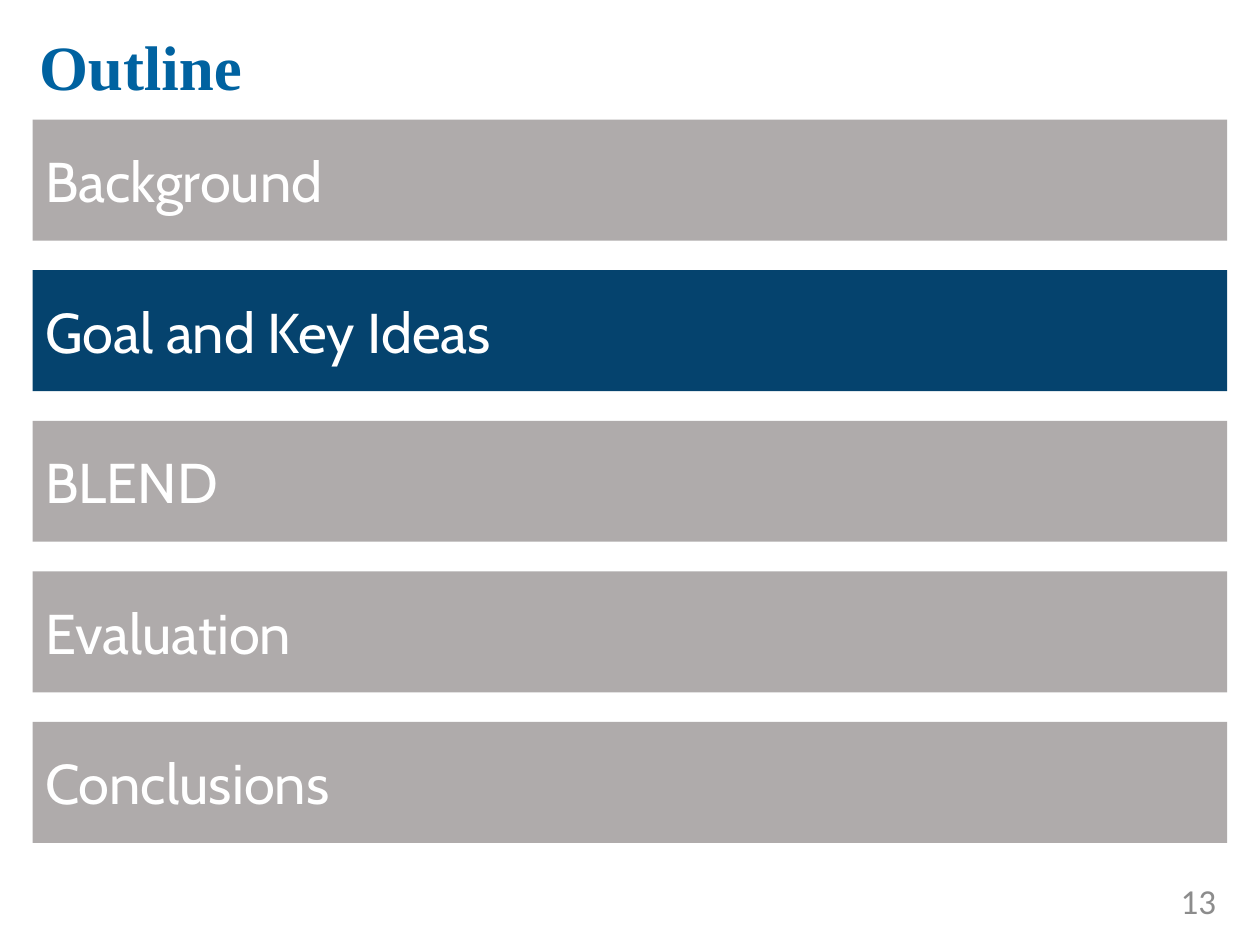
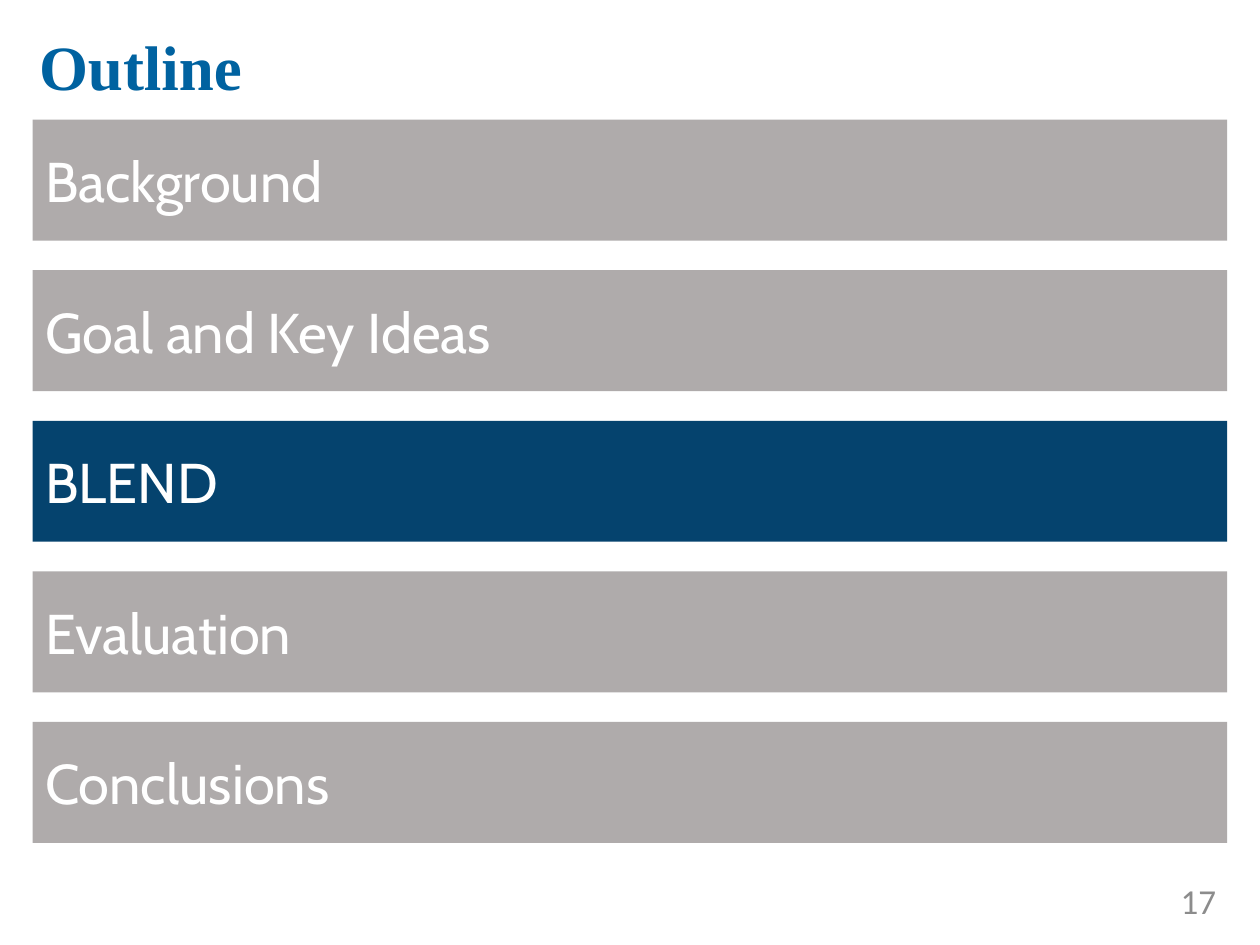
from pptx import Presentation
from pptx.dml.color import RGBColor
from pptx.enum import shapes, text
from pptx.util import Inches, Pt

TITLE_BLUE, ACTIVE_BLUE = "0062A0", "05436E"
BAND_GRAY, NUMBER_GRAY, WHITE = "AFABAB", "8C8C8C", "FFFFFF"

TITLE_BOX = (0.21, 0.1, 9.62, 0.84)
BANDS_BOX = (0.26, 0.95, 9.48, 5.74)
NUMBER_BOX = (8.67, 6.95, 1.08, 0.4)
BAND_HEIGHT = 0.96

SECTIONS = ["Background", "Goal and Key Ideas", "BLEND", "Evaluation", "Conclusions"]
OUTLINES = [(13, "Goal and Key Ideas"), (17, "BLEND")]


def color(hex_code):
    return RGBColor.from_string(hex_code)


def write(shape, words, font, size, hex_code, align=text.PP_ALIGN.LEFT, bold=False):
    """Fill the shape with one vertically centred line and return its paragraph."""
    frame = shape.text_frame
    frame.word_wrap = True
    frame.auto_size = text.MSO_AUTO_SIZE.NONE
    frame.vertical_anchor = text.MSO_ANCHOR.MIDDLE
    para = frame.paragraphs[0]
    para.alignment = align
    span = para.add_run()
    span.text = words
    span.font.name = font
    span.font.size = Pt(size)
    span.font.bold = bold
    span.font.color.rgb = color(hex_code)
    return para


def add_title(page, words, box):
    title = page.shapes.title
    title.left, title.top, title.width, title.height = map(Inches, box)
    para = write(title, words, "Times New Roman", 36, TITLE_BLUE, bold=True)
    para.space_after = Pt(6)


def add_bands(page, sections, active, box):
    """Spread one band per section evenly over the box, the active one in blue."""
    left, top, width, height = box
    pitch = (height - BAND_HEIGHT) / (len(sections) - 1)
    for row, section in enumerate(sections):
        band = page.shapes.add_shape(
            shapes.MSO_SHAPE.RECTANGLE, Inches(left), Inches(top + row * pitch),
            Inches(width), Inches(BAND_HEIGHT))
        band.shadow.inherit = False
        band.fill.solid()
        band.fill.fore_color.rgb = color(ACTIVE_BLUE if section == active else BAND_GRAY)
        band.line.fill.background()
        write(band, section, "Cabin", 32, WHITE)


def add_page_number(page, number, box):
    label = page.shapes.add_textbox(*map(Inches, box))
    write(label, str(number), "Calibri", 20, NUMBER_GRAY, text.PP_ALIGN.RIGHT)


def add_outline(deck, number, active):
    page = deck.slides.add_slide(deck.slide_layouts.get_by_name("Title Only"))
    add_title(page, "Outline", TITLE_BOX)
    add_bands(page, SECTIONS, active, BANDS_BOX)
    add_page_number(page, number, NUMBER_BOX)


def main():
    deck = Presentation()
    deck.slide_width, deck.slide_height = Inches(10), Inches(7.5)
    for number, active in OUTLINES:
        add_outline(deck, number, active)
    deck.save("out.pptx")


if __name__ == "__main__":
    main()
